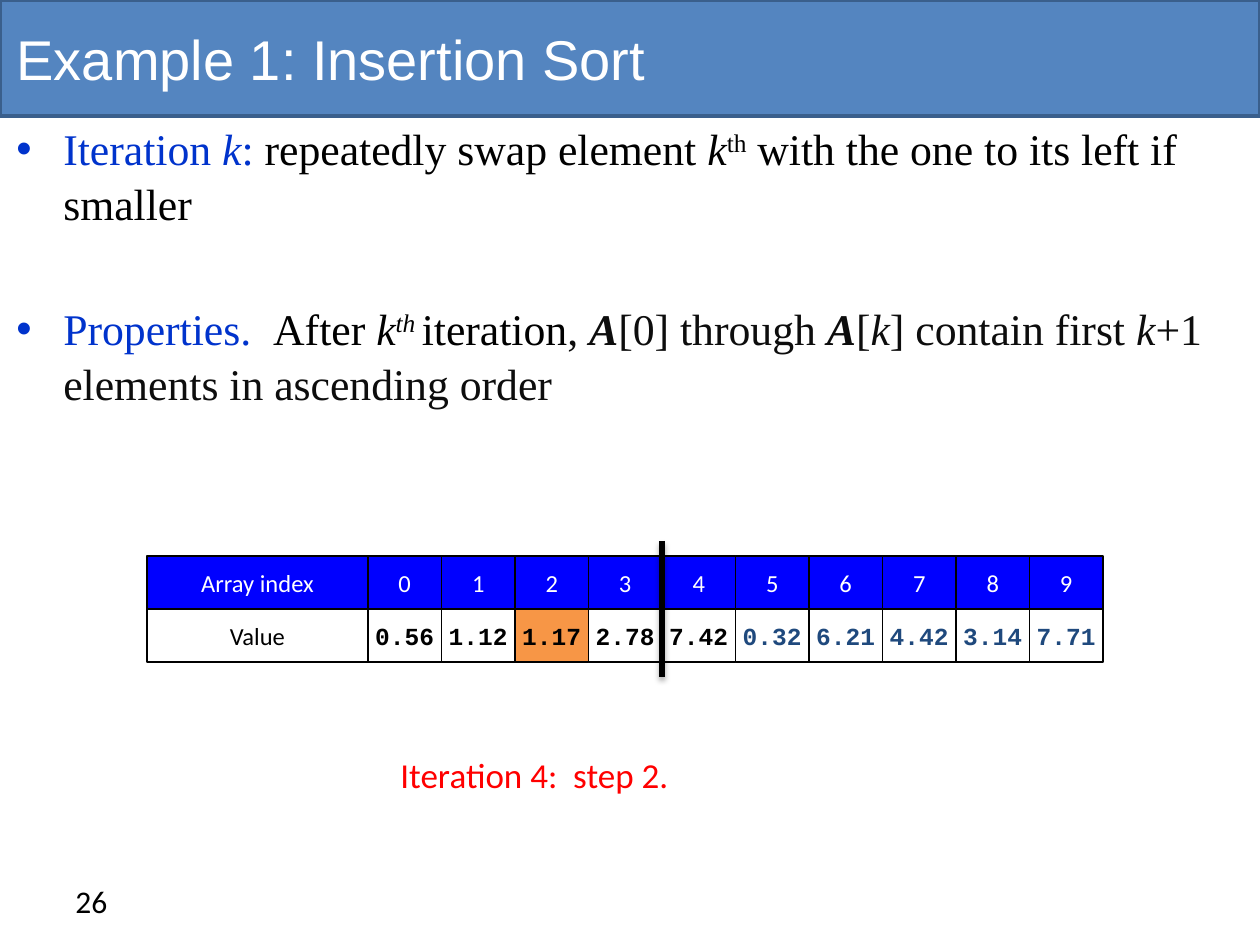
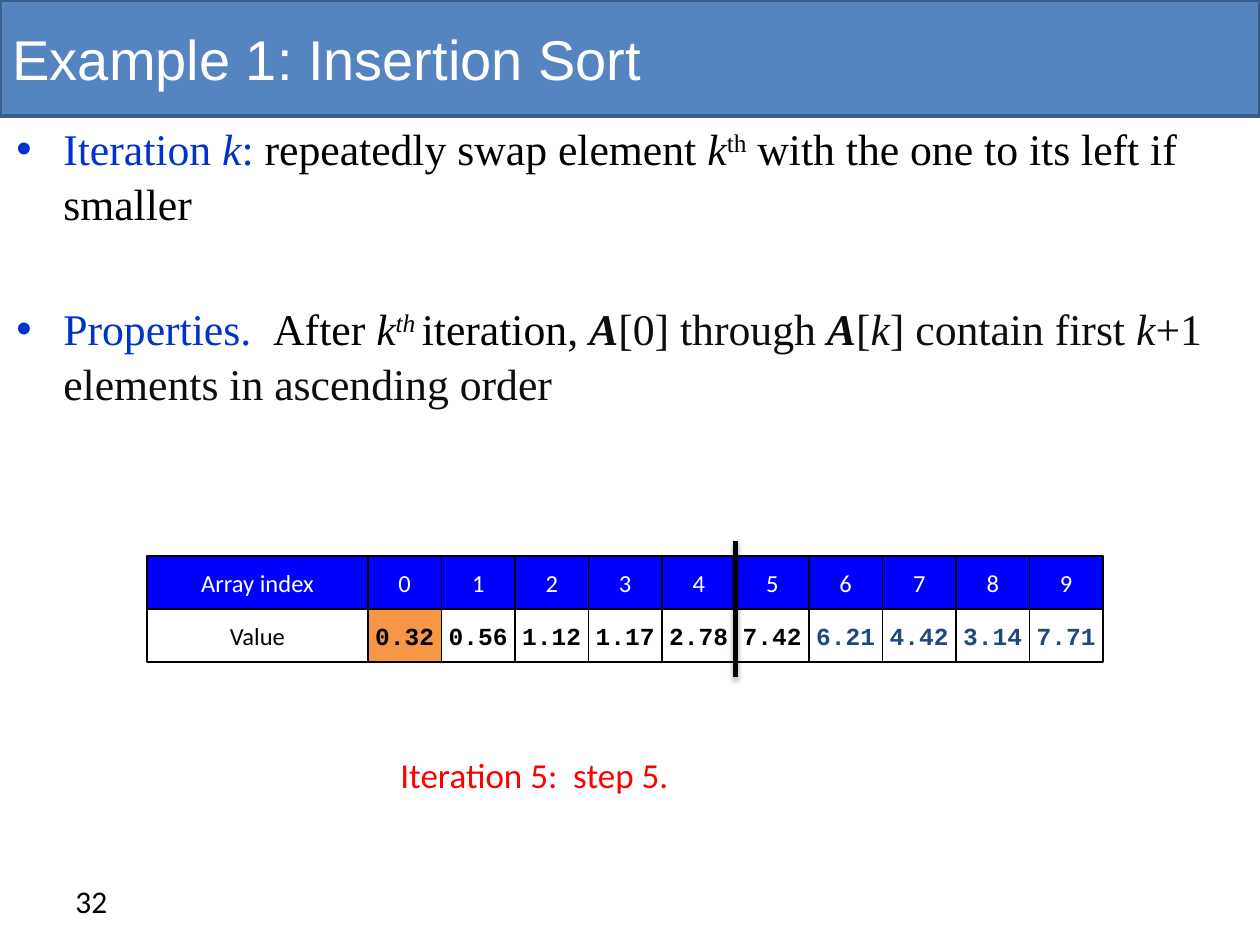
from lxml import etree
from pptx import Presentation
from pptx.dml.color import RGBColor
from pptx.enum.shapes import MSO_CONNECTOR, MSO_SHAPE
from pptx.enum.text import MSO_ANCHOR, PP_ALIGN
from pptx.oxml import parse_xml
from pptx.oxml.ns import nsdecls, qn
from pptx.util import Emu, Pt

RECT = MSO_SHAPE.RECTANGLE
STRAIGHT = MSO_CONNECTOR.STRAIGHT
MIDDLE = MSO_ANCHOR.MIDDLE
LEFT, CENTER = PP_ALIGN.LEFT, PP_ALIGN.CENTER

SCALE = 914400 / 126
SLIDE_W, SLIDE_H, BAND_H = 1260, 945, 116

SANS, TITLE_FONT, MONO, SERIF = "Calibri", "Arial", "Courier New", "Times New Roman"
BLACK, WHITE, RED = "000000", "FFFFFF", "FF0000"
BAND_BLUE, BAND_EDGE = "5485C0", "3A5F8C"
HEADER_BLUE, NAVY, ORANGE = "0000FF", "1F497D", "F79646"
KEY_BLUE, DARK = "0033CC", "0D0D0D"

LABEL_X, LABEL_W = 147, 221
CELLS_X, CELLS_W = LABEL_X + LABEL_W, 735
INDEX_Y, ROW_H = 556, 53
VALUE_Y = INDEX_Y + ROW_H
DIVIDER_TOP, DIVIDER_BOTTOM = 541, 677

ITALIC = {"italic": True}
VECTOR = {"italic": True, "bold": True}
BULLETS = [
    [
        ("Iteration ", KEY_BLUE, {}),
        ("k", KEY_BLUE, ITALIC),
        (": ", KEY_BLUE, {}),
        ("repeatedly swap element ", BLACK, {}),
        ("k", BLACK, ITALIC),
        ("th", BLACK, {"raised": True}),
        (" with the one to its left if smaller", BLACK, {}),
    ],
    [
        ("Properties.  ", KEY_BLUE, {}),
        ("After ", BLACK, {}),
        ("k", BLACK, ITALIC),
        ("th ", BLACK, {"italic": True, "raised": True}),
        ("iteration", BLACK, {}),
        (", ", DARK, {}),
        ("A", DARK, VECTOR),
        ("[0] through ", DARK, {}),
        ("A", DARK, VECTOR),
        ("[", DARK, {}),
        ("k", DARK, ITALIC),
        ("] contain first ", DARK, {}),
        ("k", DARK, ITALIC),
        ("+1 elements in ascending order", DARK, {}),
    ],
]

STEPS = [
    {
        "number": 26, "iteration": 4, "step": 2, "title_x": 4,
        "values": "0.56 1.12 1.17 2.78 7.42 0.32 6.21 4.42 3.14 7.71".split(),
    },
    {
        "number": 32, "iteration": 5, "step": 5, "title_x": 0,
        "values": "0.32 0.56 1.12 1.17 2.78 7.42 6.21 4.42 3.14 7.71".split(),
    },
]


def px(length):
    return Emu(round(length * SCALE))


def rgb(color):
    return RGBColor.from_string(color)


def add_text(p, text, size=14, font=SANS, color=BLACK, bold=False, italic=False,
             raised=False):
    r = p.add_run()
    r.text = text
    r.font.size = Pt(size)
    r.font.name = font
    r.font.bold = bold
    r.font.italic = italic
    r.font.color.rgb = rgb(color)
    if raised:
        r.font._element.set("baseline", "30000")


def add_rect(s, x, y, w, h, fill, line, line_w):
    sp = s.shapes.add_shape(RECT, px(x), px(y), px(w), px(h))
    sp.shadow.inherit = False
    sp.fill.solid()
    sp.fill.fore_color.rgb = rgb(fill)
    sp.line.color.rgb = rgb(line)
    sp.line.width = Pt(line_w)
    return sp


def add_cell(s, x, y, w, text, fill=WHITE, **text_format):
    sp = add_rect(s, x, y, w, ROW_H, fill, BLACK, 0.75)
    tf = sp.text_frame
    tf.word_wrap = False
    tf.vertical_anchor = MIDDLE
    p = tf.paragraphs[0]
    p.alignment = CENTER
    add_text(p, text, **text_format)


def add_box(s, x, y, w, h):
    tf = s.shapes.add_textbox(px(x), px(y), px(w), px(h)).text_frame
    tf.word_wrap = True
    return tf


def add_layout_band(layout, s):
    band = add_rect(s, 0, 0, SLIDE_W, BAND_H, BAND_BLUE, BAND_EDGE, 2)
    layout.shapes.element.insert(2, band.element)


def set_title(s, x, text):
    sp = s.shapes.title
    sp.left, sp.top, sp.width, sp.height = px(x), 0, px(SLIDE_W - x), px(BAND_H)
    tf = sp.text_frame
    tf.vertical_anchor = MIDDLE
    p = tf.paragraphs[0]
    p.alignment = LEFT
    add_text(p, text, size=32, font=TITLE_FONT, color=WHITE)


def add_bullets(s):
    tf = add_box(s, 4, 113, 1270, 318)
    for i, runs in enumerate(BULLETS):
        p = tf.add_paragraph() if i else tf.paragraphs[0]
        pPr = p._p.get_or_add_pPr()
        pPr.set("marL", str(px(47)))
        pPr.set("indent", str(-px(47)))
        bullet_font = etree.SubElement(pPr, qn("a:buFont"))
        bullet_font.set("typeface", TITLE_FONT)
        etree.SubElement(pPr, qn("a:buChar")).set("char", "•")
        p.line_spacing = 1.05
        if i:
            p.space_before = Pt(40)
        for text, color, style in runs:
            add_text(p, text, size=25, font=SERIF, color=color, **style)


def add_array(s, values, sorted_to, moving):
    cell_w = CELLS_W / len(values)
    add_cell(s, LABEL_X, INDEX_Y, LABEL_W, "Array index", HEADER_BLUE, color=WHITE)
    add_cell(s, LABEL_X, VALUE_Y, LABEL_W, "Value")
    for i, value in enumerate(values):
        x = CELLS_X + i * cell_w
        add_cell(s, x, INDEX_Y, cell_w, str(i), HEADER_BLUE, color=WHITE)
        add_cell(s, x, VALUE_Y, cell_w, value, ORANGE if i == moving else WHITE,
                 font=MONO, bold=True, color=BLACK if i <= sorted_to else NAVY)
    add_divider(s, CELLS_X + sorted_to * cell_w)


def add_divider(s, x):
    line = s.shapes.add_connector(STRAIGHT, px(x), px(DIVIDER_TOP),
                                  px(x), px(DIVIDER_BOTTOM))
    line.line.color.rgb = rgb(BLACK)
    line.line.width = Pt(3)
    line.element.spPr.append(parse_xml(
        f'<a:effectLst {nsdecls("a")}>'
        f'<a:outerShdw blurRad="{Pt(3.1)}" dist="{Pt(1.8)}" dir="5400000" rotWithShape="0">'
        f'<a:srgbClr val="{BLACK}"><a:alpha val="35000"/></a:srgbClr>'
        '</a:outerShdw></a:effectLst>'))


def main():
    prs = Presentation()
    prs.slide_width, prs.slide_height = px(SLIDE_W), px(SLIDE_H)
    layout = prs.slide_layouts[5]
    for i, state in enumerate(STEPS):
        s = prs.slides.add_slide(layout)
        if i == 0:
            add_layout_band(layout, s)
        iteration, step = state["iteration"], state["step"]
        set_title(s, state["title_x"], "Example 1: Insertion Sort")
        add_bullets(s)
        add_array(s, state["values"], iteration, iteration - step)
        caption = add_box(s, 388, 747, 514, 55)
        add_text(caption.paragraphs[0], f"Iteration {iteration}:  step {step}.",
                 size=20, color=RED)
        number = add_box(s, 63, 876, 294, 50)
        add_text(number.paragraphs[0], str(state["number"]), size=18)
    prs.save("out.pptx")


if __name__ == "__main__":
    main()
